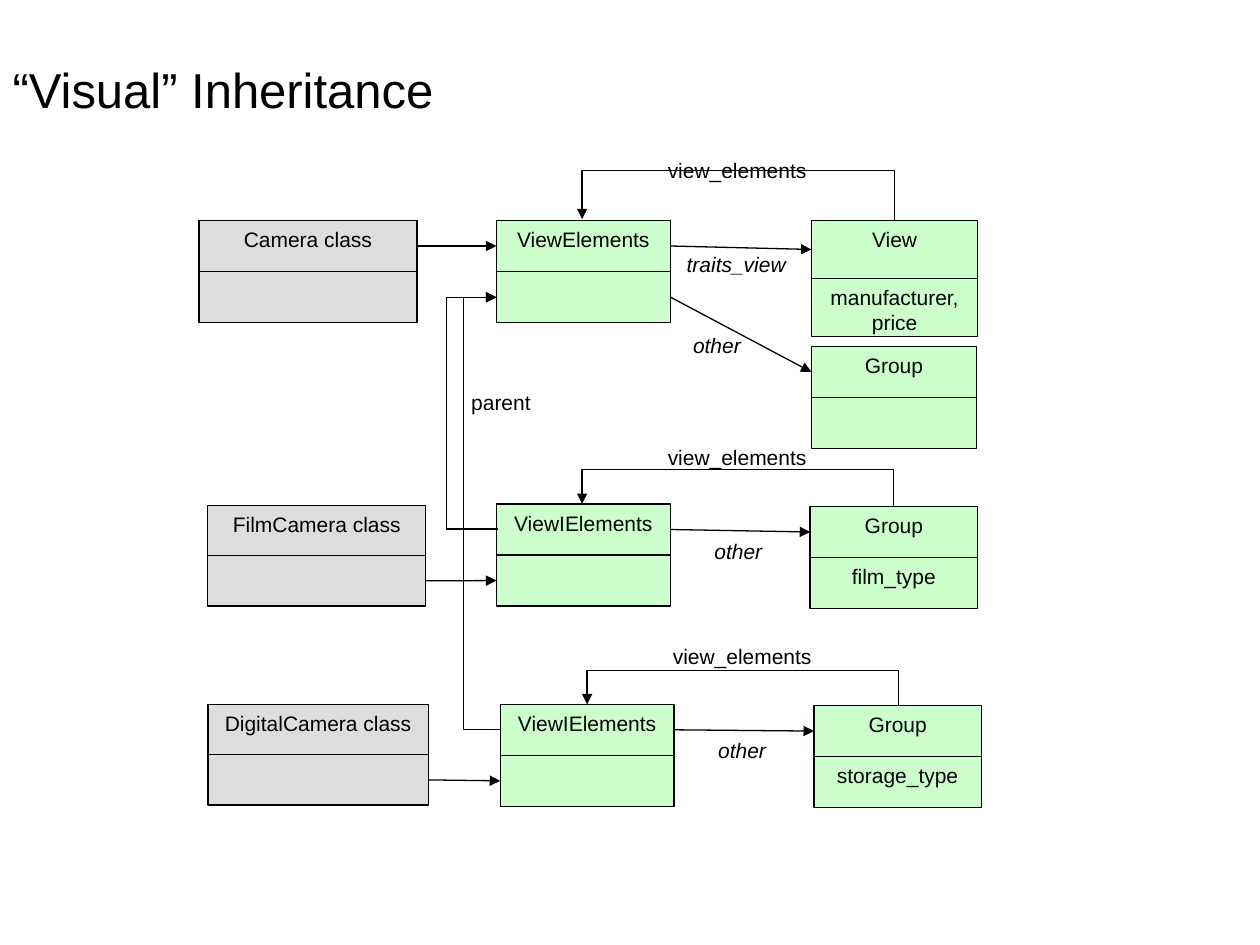
from dataclasses import dataclass

import lxml.etree
import pptx
import pptx.dml.color
import pptx.enum.shapes
import pptx.enum.text
import pptx.oxml
import pptx.oxml.ns
import pptx.util
from pptx.util import Inches

BLACK = pptx.dml.color.RGBColor(0x00, 0x00, 0x00)
GREEN = pptx.dml.color.RGBColor(0xCC, 0xFF, 0xCC)
GRAY = pptx.dml.color.RGBColor(0xDD, 0xDD, 0xDD)
FONT = "Arial"
TOP, LEFT, RIGHT = 0, 1, 3  # connection sites of a rectangle
UPPER, LOWER = 0, 1  # compartments of a box


@dataclass
class ClassBox:
    key: str
    left: float
    top: float
    width: float
    title: str
    body: str = ""
    half: float = 0.405
    fill: pptx.dml.color.RGBColor = GREEN


@dataclass
class Arrow:
    source: str
    source_half: int
    target: str
    target_half: int


@dataclass
class Label:
    text: str
    left: float
    top: float
    width: float
    italic: bool = False


@dataclass
class Elbow:
    begin: tuple[float, float]
    end: tuple[float, float]
    via: float  # x of the middle segment, or its y when rising
    rising: bool = False  # leaves upwards and comes back down


BOXES = [
    ClassBox("camera", 1.58, 1.75, 1.73, "Camera class", fill=GRAY),
    ClassBox("camera elements", 3.94, 1.75, 1.38, "ViewElements"),
    ClassBox("camera view", 6.44, 1.75, 1.32, "View", "manufacturer, price", 0.46),
    ClassBox("camera group", 6.44, 2.75, 1.31, "Group"),
    ClassBox("film", 1.65, 4.01, 1.73, "FilmCamera class", half=0.4, fill=GRAY),
    ClassBox("film elements", 3.94, 4, 1.38, "ViewIElements"),
    ClassBox("film group", 6.43, 4.02, 1.33, "Group", "film_type"),
    ClassBox("digital", 1.65, 5.59, 1.75, "DigitalCamera class", half=0.4, fill=GRAY),
    ClassBox("digital elements", 3.97, 5.59, 1.38, "ViewIElements"),
    ClassBox("digital group", 6.46, 5.6, 1.33, "Group", "storage_type"),
]

ARROWS = [
    Arrow("camera", UPPER, "camera elements", UPPER),
    Arrow("camera elements", UPPER, "camera view", UPPER),
    Arrow("camera elements", LOWER, "camera group", UPPER),
    Arrow("film", LOWER, "film elements", LOWER),
    Arrow("film elements", UPPER, "film group", UPPER),
    Arrow("digital", LOWER, "digital elements", LOWER),
    Arrow("digital elements", UPPER, "digital group", UPPER),
]

LABELS = [
    Label("parent", 3.74, 3.09, 0.5),
    Label("traits_view", 5.45, 2, 0.91, True),
    Label("other", 5.5, 2.64, 0.75, True),
    Label("other", 5.67, 4.27, 0.75, True),
    Label("other", 5.7, 5.85, 0.75, True),
    Label("view_elements", 5.3, 1.25, 1.13),
    Label("view_elements", 5.3, 3.53, 1.13),
    Label("view_elements", 5.34, 5.11, 1.13),
]

ELBOWS = [
    Elbow((7.1, 1.75), (4.62, 1.74), 1.35, True),
    Elbow((7.09, 4.02), (4.62, 4), 3.73, True),
    Elbow((7.13, 5.6), (4.66, 5.59), 5.32, True),
    Elbow((3.95, 4.2), (3.94, 2.36), 3.54),
    Elbow((3.97, 5.79), (3.94, 2.36), 3.68),
]


def format_text(frame, size: float, italic: bool = False) -> None:
    for para in frame.paragraphs:
        for span in para.runs:
            span.font.name = FONT
            span.font.size = pptx.util.Pt(size)
            span.font.italic = italic
            span.font.color.rgb = BLACK


def draw_box(page, spec_box: ClassBox) -> list:
    """Draw a two-part class box and return its compartments."""
    group = page.shapes.add_group_shape()
    parts = []
    for index, text in enumerate((spec_box.title, spec_box.body)):
        part = group.shapes.add_shape(
            pptx.enum.shapes.MSO_SHAPE.RECTANGLE,
            Inches(spec_box.left), Inches(spec_box.top + index * spec_box.half),
            Inches(spec_box.width), Inches(spec_box.half))
        part.shadow.inherit = False
        part.fill.solid()
        part.fill.fore_color.rgb = spec_box.fill
        part.line.color.rgb = BLACK
        part.line.width = pptx.util.Pt(0.75)
        frame = part.text_frame
        frame.word_wrap = True
        frame.vertical_anchor = pptx.enum.text.MSO_ANCHOR.TOP
        if text:
            frame.text = text
            frame.paragraphs[0].alignment = pptx.enum.text.PP_ALIGN.CENTER
            format_text(frame, 12)
        parts.append(part)
    return parts


def style_arrow(connector) -> None:
    connector.line.color.rgb = BLACK
    connector.line.width = pptx.util.Pt(0.75)
    qn = pptx.oxml.ns.qn
    head = lxml.etree.SubElement(connector.line._get_or_add_ln(), qn("a:tailEnd"))
    head.set("type", "triangle")
    lxml.etree.SubElement(connector._element.spPr, qn("a:effectLst"))


def draw_arrow(page, arrow: Arrow, parts: dict[str, list]) -> None:
    connector = page.shapes.add_connector(
        pptx.enum.shapes.MSO_CONNECTOR.STRAIGHT, 0, 0, 0, 0)
    connector.begin_connect(parts[arrow.source][arrow.source_half], RIGHT)
    connector.end_connect(parts[arrow.target][arrow.target_half], LEFT)
    style_arrow(connector)


def draw_elbow(page, elbow: Elbow) -> None:
    (x1, y1), (x2, y2) = elbow.begin, elbow.end
    if elbow.rising:
        # Lay the route on its side about its centre, then turn it upright
        center_x, center_y = (x1 + x2) / 2, (y1 + y2) / 2
        run, drop = (y1 - y2) / 2, (x1 - x2) / 2
        bend = (y1 - elbow.via) / (y1 - y2)
        ends = (center_x - run, center_y + drop, center_x + run, center_y - drop)
    else:
        bend = (elbow.via - x1) / (x2 - x1)
        ends = (x1, y1, x2, y2)
    connector = page.shapes.add_connector(
        pptx.enum.shapes.MSO_CONNECTOR.ELBOW, *(Inches(value) for value in ends))
    if elbow.rising:
        connector.rotation = 270
    qn = pptx.oxml.ns.qn
    guides = connector._element.spPr.find(qn("a:prstGeom")).find(qn("a:avLst"))
    guide = lxml.etree.SubElement(guides, qn("a:gd"))
    guide.set("name", "adj1")
    guide.set("fmla", f"val {round(bend * 100000)}")
    style_arrow(connector)


def draw_label(page, label: Label) -> None:
    box = page.shapes.add_textbox(Inches(label.left), Inches(label.top),
                                  Inches(label.width), Inches(0.25))
    frame = box.text_frame
    frame.word_wrap = True
    frame.margin_left = frame.margin_right = 0
    frame.margin_top = frame.margin_bottom = 0
    frame.text = label.text
    format_text(frame, 12, label.italic)


def main() -> None:
    deck = pptx.Presentation()
    deck.slide_width, deck.slide_height = Inches(10), Inches(7.5)
    page = deck.slides.add_slide(deck.slide_layouts[5])

    # Title
    title = page.shapes.title
    title.left, title.top = Inches(0), Inches(0.08)
    title.width, title.height = Inches(9), Inches(1.25)
    title.text_frame.text = "“Visual” Inheritance"
    title.text_frame.vertical_anchor = pptx.enum.text.MSO_ANCHOR.MIDDLE
    title.text_frame.paragraphs[0].alignment = pptx.enum.text.PP_ALIGN.LEFT
    format_text(title.text_frame, 28)

    # Class boxes, then the relations between them
    parts = {box.key: draw_box(page, box) for box in BOXES}
    for arrow in ARROWS:
        draw_arrow(page, arrow, parts)
    for label in LABELS:
        draw_label(page, label)
    for elbow in ELBOWS:
        draw_elbow(page, elbow)

    deck.save("out.pptx")


if __name__ == "__main__":
    main()
